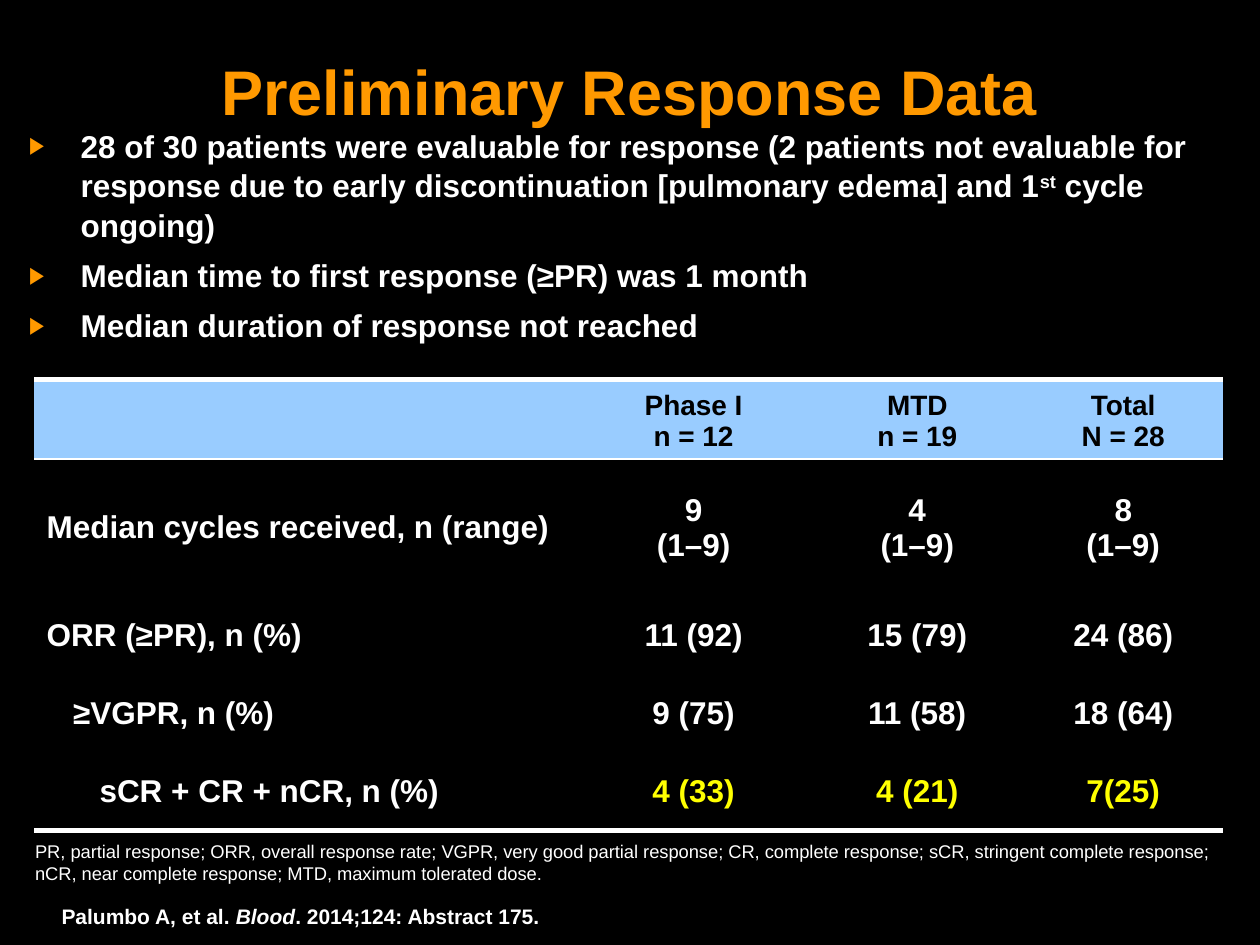
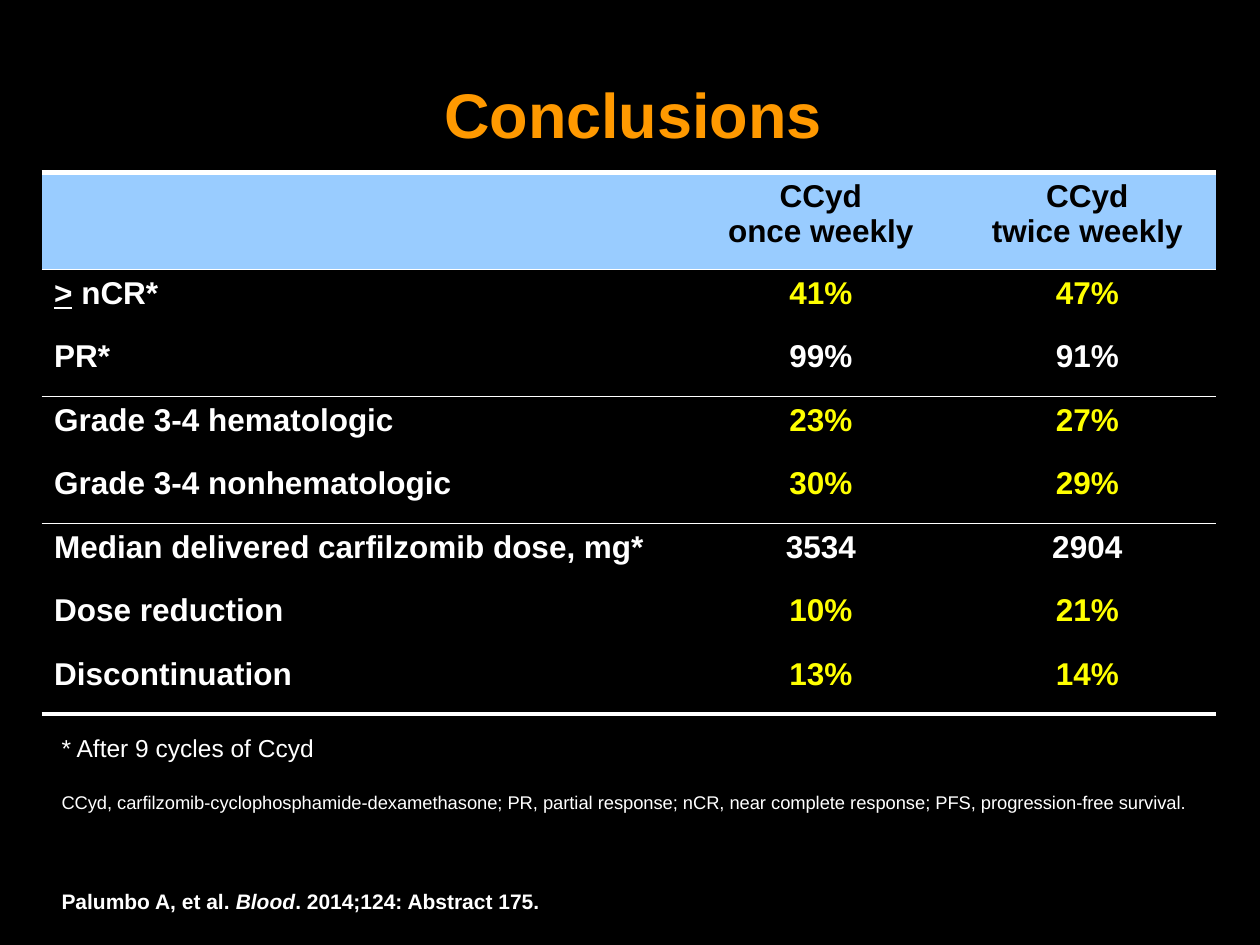
from dataclasses import dataclass, field
from typing import Any

import pptx
import pptx.dml.color
import pptx.enum.text
import pptx.oxml.ns
import pptx.util
from lxml import etree

Inches, Pt = pptx.util.Inches, pptx.util.Pt
ALIGN = pptx.enum.text.PP_ALIGN
ANCHOR = pptx.enum.text.MSO_ANCHOR
FIT = pptx.enum.text.MSO_AUTO_SIZE

COLORS = {"back": "000000", "title": "FF9900", "text": "FFFFFF",
          "band": "99CCFF", "dark": "000000", "bright": "FFFF00"}
FONT = "Arial"
INDENT = 0.21  # one label level in a table, in inches


@dataclass
class Bit:
    """A run of text with its own format values."""
    text: str
    form: dict[str, Any] = field(default_factory=dict)
    base: int = 0


Words = str | list[Bit]


@dataclass
class Style:
    size: float
    color: str = "text"
    bold: bool = True
    align: Any = ALIGN.LEFT


@dataclass
class Box:
    left: float
    top: float
    width: float
    height: float

    def span(self) -> list[int]:
        return [Inches(n) for n in (self.left, self.top, self.width, self.height)]


@dataclass
class Row:
    label: Words
    vals: list[str]
    bright: bool = False
    level: int = 0


@dataclass
class Grid:
    box: Box
    cols: list[float]
    highs: list[float]
    heads: list[str]
    rows: list[Row]
    rules: dict[int, int]  # line width by row edge, 0 is the top edge
    head_size: int
    head_anchor: Any
    anchor: Any


def color(name: str) -> pptx.dml.color.RGBColor:
    return pptx.dml.color.RGBColor.from_string(COLORS[name])


def node(home: Any, tag: str, **attrs: str) -> Any:
    item = etree.SubElement(home, pptx.oxml.ns.qn(tag))
    for key, val in attrs.items():
        item.set(key, val)
    return item


# Text
def write(para: Any, words: Words, style: Style) -> None:
    para.alignment = style.align
    bits = [Bit(words)] if isinstance(words, str) else words
    for bit in bits:
        for at, line in enumerate(bit.text.split("\v")):
            if at:
                para.add_line_break()
            run = para.add_run()
            run.text = line
            form = {"name": FONT, "size": Pt(style.size), "bold": style.bold} | bit.form
            for key, val in form.items():
                setattr(run.font, key, val)
            run.font.color.rgb = color(style.color)
            if bit.base:
                run.font._element.set("baseline", str(bit.base * 1000))


def fill(frame: Any, words: Words, style: Style) -> None:
    lines = words.split("\n") if isinstance(words, str) else [words]
    for at, line in enumerate(lines):
        write(frame.add_paragraph() if at else frame.paragraphs[0], line, style)


def add_frame(slide: Any, box: Box, form: dict[str, Any]) -> Any:
    frame = slide.shapes.add_textbox(*box.span()).text_frame
    for key, val in ({"word_wrap": True} | form).items():
        setattr(frame, key, val)
    return frame


def add_note(slide: Any, box: Box, words: Words, style: Style) -> None:
    fill(add_frame(slide, box, {"auto_size": FIT.SHAPE_TO_FIT_TEXT}), words, style)


TIGHT = {"vertical_anchor": ANCHOR.MIDDLE} | {
    f"margin_{side}": Inches(0.04) for side in ("left", "top", "right", "bottom")}


def add_title(slide: Any, left: float, top: float, words: str) -> None:
    frame = add_frame(slide, Box(left, top, 8.99, 1.12), TIGHT)
    fill(frame, words, Style(36, "title", align=ALIGN.CENTER))


def add_points(slide: Any, box: Box, points: list[Words]) -> None:
    frame = add_frame(slide, box, TIGHT | {"margin_left": 0})
    for at, point in enumerate(points):
        para = frame.add_paragraph() if at else frame.paragraphs[0]
        props = para._p.get_or_add_pPr()
        props.set("marL", str(Inches(0.41)))
        props.set("indent", str(-Inches(0.41)))
        node(node(props, "a:buClr"), "a:srgbClr", val=COLORS["title"])
        node(props, "a:buSzPct", val="75000")
        node(props, "a:buFont", typeface=FONT)
        node(props, "a:buChar", char="▶")
        para.space_after = Pt(6)
        para.line_spacing = 1.05
        write(para, point, Style(18))


# Tables
def edge(props: Any, side: str, width: int) -> None:
    line = node(props, f"a:ln{side}", w=str(Pt(width)))
    if width:
        node(node(line, "a:solidFill"), "a:srgbClr", val=COLORS["text"])
    else:
        node(line, "a:noFill")


def add_grid(slide: Any, grid: Grid) -> None:
    table = slide.shapes.add_table(
        len(grid.highs), len(grid.cols), *grid.box.span()).table
    table.horz_banding = False
    for col, width in zip(table.columns, grid.cols):
        col.width = Inches(width)
    for row, high in zip(table.rows, grid.highs):
        row.height = Inches(high)

    lines = [Row("", grid.heads)] + grid.rows
    for r, line in enumerate(lines):
        for c, words in enumerate([line.label] + line.vals):
            cell = table.cell(r, c)
            props = cell._tc.get_or_add_tcPr()
            for side, width in {"L": 0, "R": 0, "T": grid.rules.get(r, 0),
                                "B": grid.rules.get(r + 1, 0)}.items():
                edge(props, side, width)
            cell.fill.solid()
            cell.fill.fore_color.rgb = color("back" if r else "band")
            cell.vertical_anchor = grid.anchor if r else grid.head_anchor
            if c == 0:
                cell.margin_left = Inches(0.1 + INDENT * line.level)
            tone = "dark" if r == 0 else "bright" if c and line.bright else "text"
            fill(cell.text_frame, words,
                 Style(18 if r else grid.head_size, tone,
                       align=ALIGN.CENTER if c else ALIGN.LEFT))


def add_slide(deck: Any) -> Any:
    slide = deck.slides.add_slide(deck.slide_layouts[6])
    slide.background.fill.solid()
    slide.background.fill.fore_color.rgb = color("back")
    return slide


def add_source(slide: Any, top: float) -> None:
    words = [Bit("Palumbo A, et al. "), Bit("Blood", {"italic": True}),
             Bit(". 2014;124: Abstract 175.")]
    add_note(slide, Box(0.39, top, 6.26, 0.3), words, Style(12))


SMALL = Style(10.5, bold=False)


# Slide 1: response data
def draw_data(deck: Any) -> None:
    slide = add_slide(deck)
    add_title(slide, 0.5, 0.16, "Preliminary Response Data")
    add_points(slide, Box(0.23, 1.12, 9.49, 1.48), [
        [Bit("28 of 30 patients were evaluable for response (2 patients not evaluable "
             "for response due to early discontinuation [pulmonary edema] and 1"),
         Bit("st", base=30), Bit(" cycle ongoing)")],
        "Median time to first response (≥PR) was 1 month",
        "Median duration of response not reached",
    ])
    add_grid(slide, Grid(
        Box(0.27, 3.01, 9.43, 3.59), [4.3, 1.87, 1.68, 1.59],
        [0.57, 1.09] + [0.62] * 3,
        ["Phase I\vn = 12", "MTD\vn = 19", "Total\vN = 28"],
        [Row("Median cycles received, n (range)",
             ["9\v(1–9)", "4\v(1–9)", "8\v(1–9)"]),
         Row("ORR (≥PR), n (%)", ["11 (92)", "15 (79)", "24 (86)"]),
         Row("≥VGPR, n (%)", ["9 (75)", "11 (58)", "18 (64)"], level=1),
         Row("sCR + CR + nCR, n (%)", ["4 (33)", "4 (21)", "7(25)"], True, 2)],
        {0: 3, 1: 1, 5: 3}, 16, ANCHOR.BOTTOM, ANCHOR.MIDDLE))
    add_note(slide, Box(0.18, 6.62, 9.89, 0.47),
             "PR, partial response; ORR, overall response rate; VGPR, very good partial "
             "response; CR, complete response; sCR, stringent complete response; nCR, "
             "near complete response; MTD, maximum tolerated dose.", SMALL)
    add_source(slide, 7.12)


# Slide 2: conclusions
def draw_close(deck: Any) -> None:
    slide = add_slide(deck)
    add_title(slide, 0.53, 0.34, "Conclusions")
    rows = [
        Row([Bit(">", {"underline": True}), Bit(" nCR*")], ["41%", "47%"], True),
        Row("PR*", ["99%", "91%"]),
        Row("Grade 3-4 hematologic", ["23%", "27%"], True),
        Row("Grade 3-4 nonhematologic", ["30%", "29%"], True),
        Row("Median delivered carfilzomib dose, mg*", ["3534", "2904"]),
        Row("Dose reduction", ["10%", "21%"], True),
        Row("Discontinuation", ["13%", "14%"], True),
    ]
    box, head = Box(0.33, 1.37, 9.33, 4.3), 0.77
    add_grid(slide, Grid(
        box, [5.09, 2.19, 2.04],
        [head] + [(box.height - head) / len(rows)] * len(rows),
        ["CCyd\nonce weekly", "CCyd\ntwice weekly"], rows,
        {0: 3, 1: 1, 3: 1, 5: 1, 8: 3}, 18, ANCHOR.TOP, ANCHOR.TOP))
    add_note(slide, Box(0.39, 5.77, 7.49, 0.34), "* After 9 cycles of Ccyd",
             Style(14, bold=False))
    add_note(slide, Box(0.39, 6.23, 9.96, 0.28),
             "CCyd, carfilzomib-cyclophosphamide-dexamethasone; PR, partial response; "
             "nCR, near complete response; PFS, progression-free survival.", SMALL)
    add_source(slide, 7)


def main() -> None:
    deck = pptx.Presentation()
    deck.slide_width, deck.slide_height = Inches(10), Inches(7.5)
    draw_data(deck)
    draw_close(deck)
    deck.save("out.pptx")


if __name__ == "__main__":
    main()
